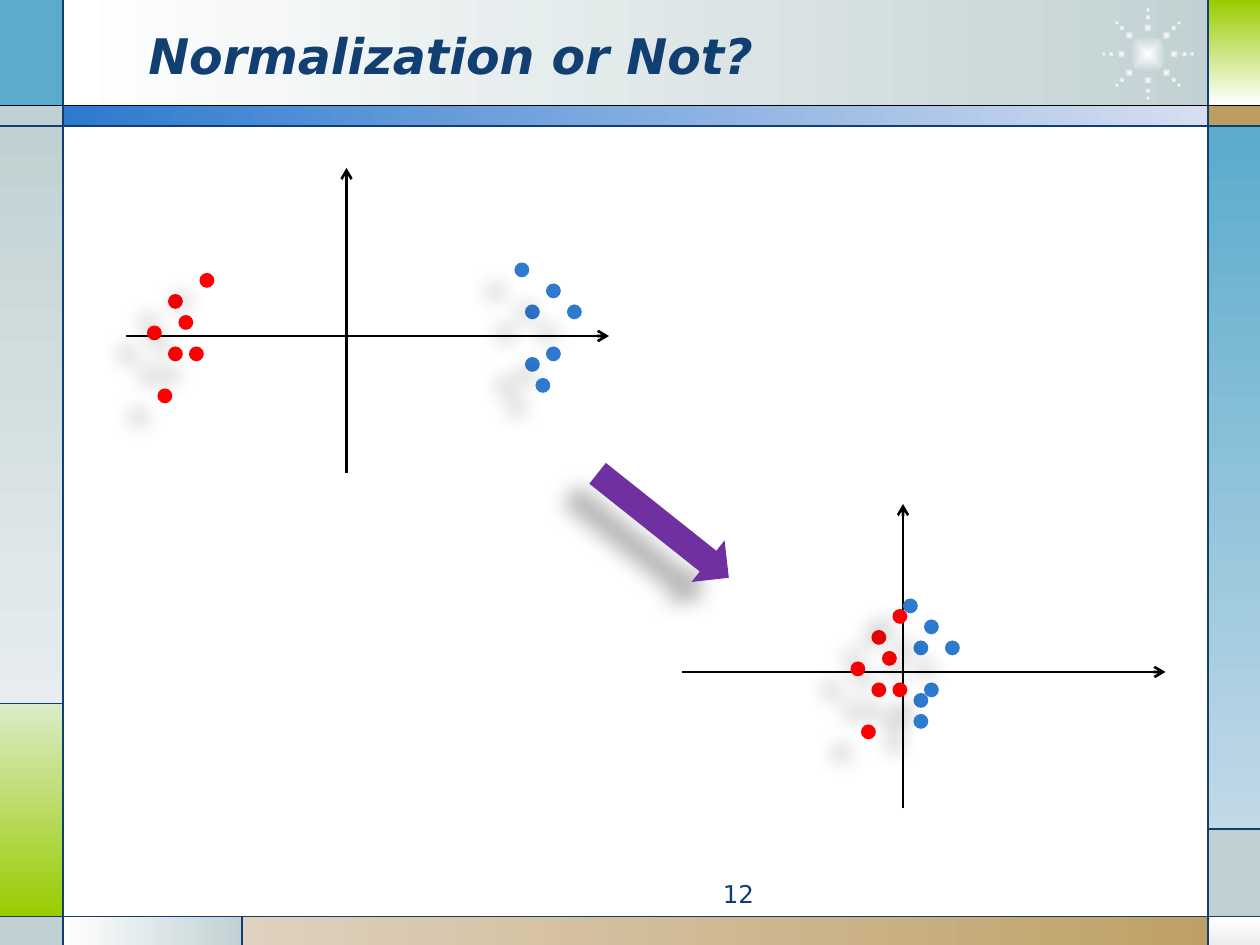
"""Builds the slide that compares point clouds before and after normalization."""
import math

import lxml.etree
import pptx
import pptx.dml.color
import pptx.enum.shapes
import pptx.enum.text
import pptx.oxml.ns
import pptx.util

Cm = pptx.util.Cm
qn = pptx.oxml.ns.qn
SHAPE = pptx.enum.shapes.MSO_SHAPE
ALIGN = pptx.enum.text.PP_ALIGN
ANCHOR = pptx.enum.text.MSO_ANCHOR

WIDTH, HEIGHT = 25.4, 19.05
GRID = 2.54 / 12
COLORS = {
    "white": "FFFFFF", "black": "000000", "navy": "113F71", "blue": "2D7ACF",
    "pale_blue": "D7DEF0", "sky": "5AABCC", "pale_sky": "C2D9E7",
    "mist": "C1D1D3", "pale_mist": "E7EDEE", "lime": "99CC00",
    "pale_lime": "DBEBC9", "sand": "BD9E61", "pale_sand": "DED1BF",
    "smoke": "EDEDED", "red": "FF0000", "purple": "7030A0",
}

PANELS = [
    (1.27, 0, 24.82, 2.12, ("white", "mist"), 0),
    (0, 0, 1.27, 2.12, ("sky",), 0),
    (0, 2.12, 1.27, 2.54, ("mist",), 0),
    (0, 2.54, 1.27, 14.18, ("mist", "pale_mist"), 270),
    (0, 14.18, 1.27, 18.47, ("pale_lime", "lime"), 270),
    (0, 18.47, 1.27, HEIGHT, ("mist",), 0),
    (1.27, 18.47, 4.88, HEIGHT, ("white", "mist"), 0),
    (4.88, 18.47, WIDTH, HEIGHT, ("pale_sand", "sand"), 0),
    (24.38, 18.47, WIDTH, HEIGHT, ("white", "smoke"), 270),
    (24.35, 16.71, WIDTH, 18.47, ("mist",), 0),
    (24.35, 2.54, WIDTH, 16.71, ("sky", "pale_sky"), 270),
    (24.35, 2.12, WIDTH, 2.54, ("sand",), 0),
    (24.35, 0, WIDTH, 2.12, ("lime", "white"), 270),
    (1.27, 2.12, 24.35, 2.54, ("blue", "pale_blue"), 0),
]
RULES = [
    (0, 2.12, WIDTH, 2.12, "black"),
    (0, 2.54, WIDTH, 2.54, "navy"),
    (0, 18.47, WIDTH, 18.47, "navy"),
    (1.27, 0, 1.27, HEIGHT, "navy"),
    (24.35, 0, 24.35, HEIGHT, "navy"),
    (1.27, 14.18, 0, 14.18, "navy"),
    (4.88, 18.47, 4.88, HEIGHT, "navy"),
    (24.35, 16.71, WIDTH, 16.71, "navy"),
]
RAW_POINTS = {
    "blue": [(16, -7), (17, -3), (19, -5), (17, 2), (19, 1), (21, -3), (18, 4)],
    "red": [(-17, 1), (-17, -4), (-14, -6), (-19, -1), (-15, 1), (-16, -2), (-18, 5)],
}
NORMALIZED_POINTS = {
    "red": [(-3, 1), (-3, -4), (-1, -6), (-5, -1), (-1, 1), (-2, -2), (-4, 5)],
    "blue": [(0, -7), (1, -3), (2, -5), (1, 2), (2, 1), (4, -3), (1, 4)],
}


def color(name):
    """Return the named colour."""
    return pptx.dml.color.RGBColor.from_string(COLORS[name])


def write(box, text, size=14, ink="navy", bold=False, italic=False, align=ALIGN.LEFT):
    """Put one formatted paragraph in a box."""
    para = box.text_frame.paragraphs[0]
    para.alignment = align
    span = para.add_run()
    span.text = text
    span.font.name = "DejaVu Sans"
    span.font.size = pptx.util.Pt(size)
    span.font.bold, span.font.italic = bold, italic
    span.font.color.rgb = color(ink)


class Painter:
    """Holds the line weights and the current slide."""

    rule_weight = 0.75
    axis_weight = 1.5
    point_size = 0.3

    def __init__(self, page):
        """Start on a page."""
        self.page = page

    def shape(self, kind, left, top, width, height, fills, angle=0, rotation=0):
        """Add an unlined shape with a solid or two-colour fill."""
        shape = self.page.shapes.add_shape(kind, Cm(left), Cm(top), Cm(width), Cm(height))
        shape.shadow.inherit = False
        shape.line.fill.background()
        shape.rotation = rotation
        if len(fills) == 1:
            shape.fill.solid()
            shape.fill.fore_color.rgb = color(fills[0])
        else:
            shape.fill.gradient()
            shape.fill.gradient_angle = angle
            for stop, name in zip(shape.fill.gradient_stops, fills):
                stop.color.rgb = color(name)
        return shape

    def glow(self, x, y, size):
        """Add a round glow that fades from its centre."""
        shape = self.shape(SHAPE.OVAL, x - size / 2, y - size / 2, size, size, ("white", "mist"))
        gradient = shape.element.spPr.find(qn("a:gradFill"))
        gradient.remove(gradient.find(qn("a:lin")))
        radial = lxml.etree.SubElement(gradient, qn("a:path"), {"path": "shape"})
        middle = {side: "50000" for side in "ltrb"}
        lxml.etree.SubElement(radial, qn("a:fillToRect"), middle)

    def sunburst(self, x, y):
        """Add a glow with eight rays of shrinking dots."""
        self.glow(x, y, 0.76)
        for ray in range(8):
            turn = math.radians(45 * ray)
            for radius, size in ((0.53, 0.18), (0.74, 0.12), (0.89, 0.09)):
                self.glow(x + radius * math.cos(turn), y + radius * math.sin(turn), size)

    def shadow(self, shape):
        """Give a shape a soft shadow to the lower left."""
        effects = shape.element.spPr.find(qn("a:effectLst"))
        outer = lxml.etree.SubElement(effects, qn("a:outerShdw"), {
            "blurRad": "150000", "dist": "250000", "dir": "8460000", "rotWithShape": "0"})
        tint = lxml.etree.SubElement(outer, qn("a:srgbClr"), val=COLORS["black"])
        lxml.etree.SubElement(tint, qn("a:alpha"), val="28000")

    def line(self, x1, y1, x2, y2, ink, weight=rule_weight, arrow=False):
        """Add a straight line, with an arrowhead at its end if asked."""
        line = self.page.shapes.add_connector(
            pptx.enum.shapes.MSO_CONNECTOR.STRAIGHT, Cm(x1), Cm(y1), Cm(x2), Cm(y2))
        line.line.color.rgb = color(ink)
        line.line.width = pptx.util.Pt(weight)
        properties = line.element.spPr
        if arrow:
            lxml.etree.SubElement(properties.find(qn("a:ln")), qn("a:tailEnd"), type="arrow")
        lxml.etree.SubElement(properties, qn("a:effectLst"))

    def text(self, left, top, width, height, text, anchor=ANCHOR.TOP, **style):
        """Add a wrapped text box."""
        box = self.page.shapes.add_textbox(Cm(left), Cm(top), Cm(width), Cm(height))
        box.text_frame.word_wrap = True
        box.text_frame.vertical_anchor = anchor
        write(box, text, **style)

    def plot(self, column, row, points):
        """Add axes that cross at a grid place, and points around them."""
        for ends in ((-21, 0, 25, 0), (0, 13, 0, -16)):
            places = [GRID * (start + step) for start, step in zip((column, row) * 2, ends)]
            self.line(*places, "black", self.axis_weight, arrow=True)
        for ink, offsets in points.items():
            for x, y in offsets:
                self.shadow(self.shape(SHAPE.OVAL, GRID * (column + x), GRID * (row + y),
                                       self.point_size, self.point_size, (ink,)))


def main():
    """Build and save the deck."""
    deck = pptx.Presentation()
    deck.slide_width, deck.slide_height = Cm(WIDTH), Cm(HEIGHT)
    painter = Painter(deck.slides.add_slide(deck.slide_layouts[6]))
    for left, top, right, bottom, fills, angle in PANELS:
        painter.shape(SHAPE.RECTANGLE, left, top, right - left, bottom - top, fills, angle)
    painter.sunburst(23.14, 1.09)
    for rule in RULES:
        painter.line(*rule)
    painter.text(2.74, 0.33, 18.62, 1.57, "Normalization or Not?", ANCHOR.MIDDLE,
                 size=28, bold=True, italic=True)
    painter.text(9.53, 17.6, 5.92, 0.69, "12", align=ALIGN.RIGHT)
    painter.plot(33, 32, RAW_POINTS)
    painter.plot(86, 64, NORMALIZED_POINTS)
    painter.shadow(painter.shape(SHAPE.RIGHT_ARROW, 11.68, 10.06, 3.38, 1.07,
                                 ("purple",), rotation=38.5))
    deck.save("out.pptx")


if __name__ == "__main__":
    main()
